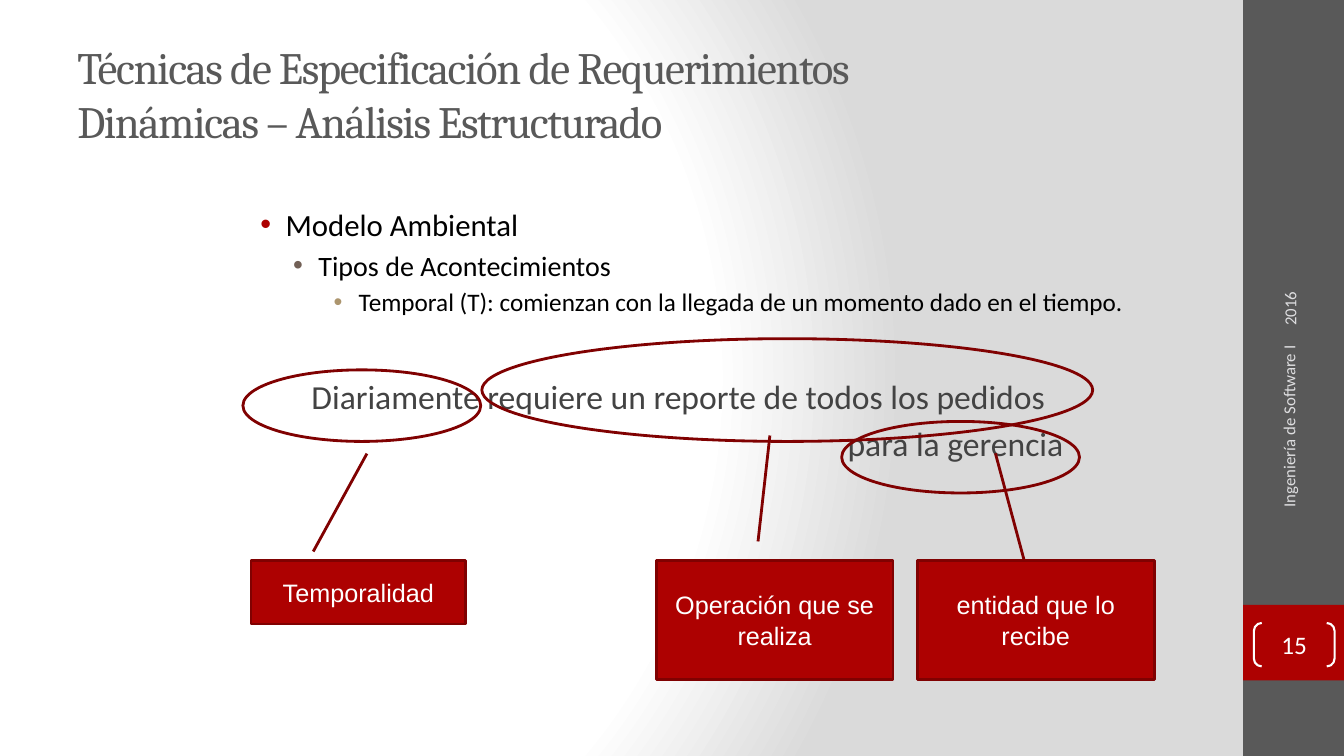
from dataclasses import dataclass

from pptx import Presentation
from pptx.dml.color import RGBColor
from pptx.enum.shapes import MSO_SHAPE
from pptx.enum.text import MSO_ANCHOR, MSO_AUTO_SIZE, PP_ALIGN
from pptx.oxml import parse_xml
from pptx.oxml.ns import nsdecls, qn
from pptx.util import Pt

RECT = MSO_SHAPE.RECTANGLE
OVAL = MSO_SHAPE.OVAL
CALLOUT = MSO_SHAPE.LINE_CALLOUT_1
BRACKET = MSO_SHAPE.DOUBLE_BRACKET
TOP, MIDDLE = MSO_ANCHOR.TOP, MSO_ANCHOR.MIDDLE
NO_FIT = MSO_AUTO_SIZE.NONE
LEFT, CENTER, RIGHT = PP_ALIGN.LEFT, PP_ALIGN.CENTER, PP_ALIGN.RIGHT


@dataclass(frozen=True)
class Theme:
    gray: str = "595959"
    red: str = "AD0101"
    dark: str = "800101"
    white: str = "FFFFFF"
    black: str = "000000"
    ink: str = "434343"
    pale: str = "DEDEE0"
    shade: str = "DADADA"
    dots: tuple = ("AD0101", "726056", "AC956E")
    levels: tuple = (22, 20, 18)
    title: int = 32
    quote: int = 24
    label: int = 18
    side: int = 12
    head: str = "Cambria"
    body: str = "Calibri"
    tag: str = "Arial"


class Deck:
    def __init__(self, theme):
        self.theme = theme
        self.show = Presentation()
        self.show.slide_width, self.show.slide_height = Pt(960), Pt(540)
        self.slide = self.show.slides.add_slide(self.show.slide_layouts[5])

    def backdrop(self, stops, focus):
        """Radial background; focus holds left, top, right and bottom in percent."""
        self.slide.background.fill.gradient()
        grad = self.slide.element.find(".//" + qn("a:gradFill"))
        for child in list(grad):
            grad.remove(child)
        marks = "".join(
            f'<a:gs pos="{pos * 1000}"><a:srgbClr val="{color}"/></a:gs>'
            for pos, color in stops)
        rect = " ".join(f'{side}="{part * 1000}"' for side, part in zip("ltrb", focus))
        grad.append(parse_xml(f'<a:gsLst {nsdecls("a")}>{marks}</a:gsLst>'))
        grad.append(parse_xml(f'<a:path {nsdecls("a")} path="circle">'
                              f'<a:fillToRect {rect}/></a:path>'))

    def frame(self, shape, anchor, inset=None):
        frame = shape.text_frame
        values = {"word_wrap": True, "auto_size": NO_FIT, "vertical_anchor": anchor}
        if inset is not None:
            for side in ("left", "top", "right", "bottom"):
                values["margin_" + side] = Pt(inset)
        for name, value in values.items():
            setattr(frame, name, value)
        return frame

    def fill_in(self, para, text, size, color, font=None, align=LEFT, before=0):
        para.text = text
        para.alignment = align
        para.space_before = Pt(before)
        for run in para.runs:
            values = {"size": Pt(size), "name": font or self.theme.body, "bold": False}
            for name, value in values.items():
                setattr(run.font, name, value)
            run.font.color.rgb = RGBColor.from_string(color)

    def title(self, box, text):
        shape = self.slide.shapes.title
        for name, value in zip(("left", "top", "width", "height"), box):
            setattr(shape, name, Pt(value))
        para = self.frame(shape, MIDDLE).paragraphs[0]
        self.fill_in(para, text, self.theme.title, self.theme.gray, self.theme.head)
        for run in para.runs:
            run._r.get_or_add_rPr().set("spc", "-100")

    def shape(self, kind, box, fill=None, line=None, width=2, adjust=()):
        shape = self.slide.shapes.add_shape(kind, *map(Pt, box))
        shape.shadow.inherit = False
        for part, color in ((shape.fill, fill), (shape.line.fill, line)):
            if color:
                part.solid()
                part.fore_color.rgb = RGBColor.from_string(color)
            else:
                part.background()
        if line:
            shape.line.width = Pt(width)
        for index, value in enumerate(adjust):
            shape.adjustments[index] = value
        return shape

    def callout(self, box, text, adjust):
        look = self.theme
        shape = self.shape(CALLOUT, box, look.red, look.dark, adjust=adjust)
        para = self.frame(shape, MIDDLE).paragraphs[0]
        self.fill_in(para, text, look.label, look.white, look.tag, CENTER)

    def ring(self, box):
        self.shape(OVAL, box, line=self.theme.dark)

    def text(self, box, anchor=TOP, turn=0):
        shape = self.slide.shapes.add_textbox(*map(Pt, box))
        shape.rotation = turn
        return self.frame(shape, anchor)

    def outline(self, box, items, indents):
        """One bulleted paragraph per item, each a level deeper."""
        frame, look = self.text(box), self.theme
        for level, (item, indent) in enumerate(zip(items, indents)):
            para = frame.add_paragraph() if level else frame.paragraphs[0]
            para.level = level
            size = look.levels[level]
            self.fill_in(para, item, size, look.black, before=size * 0.2)
            props = para._p.get_or_add_pPr()
            props.set("marL", str(Pt(indent)))
            props.set("indent", str(Pt(-18)))
            for tag in (f'<a:buClr {nsdecls("a")}><a:srgbClr val="{look.dots[level]}"/></a:buClr>',
                        f'<a:buFont {nsdecls("a")} typeface="Arial"/>',
                        f'<a:buChar {nsdecls("a")} char="•"/>'):
                props.append(parse_xml(tag))

    def quote(self, box, lines):
        """Centred lines, each with its own left margin."""
        frame, look = self.text(box), self.theme
        for index, (line, margin) in enumerate(lines):
            para = frame.add_paragraph() if index else frame.paragraphs[0]
            self.fill_in(para, line, look.quote, look.ink, align=CENTER,
                         before=look.quote * 0.2)
            para._p.get_or_add_pPr().set("marL", str(Pt(margin)))

    def side(self, box, text, align):
        para = self.text(box, MIDDLE, 270).paragraphs[0]
        self.fill_in(para, text, self.theme.side, self.theme.pale, align=align)

    def number(self, box, text):
        look = self.theme
        shape = self.shape(BRACKET, box, line=look.white, width=1.5, adjust=(0.18,))
        para = self.frame(shape, MIDDLE, 0).paragraphs[0]
        self.fill_in(para, text, look.label, look.white, align=CENTER)


def main():
    look = Theme()
    deck = Deck(look)
    deck.backdrop(((0, look.white), (75, look.white), (100, look.shade)),
                  (20, 50, 100, 50))
    deck.shape(RECT, (888, 0, 72, 540), look.gray)
    deck.shape(RECT, (888, 432, 72, 54), look.red)
    deck.title((48, 21.6, 800, 90), "Técnicas de Especificación de Requerimientos\v"
                                    "Dinámicas – Análisis Estructurado")
    deck.outline((170, 143.3, 642, 354), (
        "Modelo Ambiental",
        "Tipos de Acontecimientos",
        "Temporal (T): comienzan con la llegada de un momento dado en el tiempo.",
    ), (27, 50.4, 79.2))
    deck.number((895.7, 445, 57.6, 31), "15")

    row = 400.3
    deck.callout((179.3, row, 153.4, 45.4), "Temporalidad", (-0.14, 0.29, -1.68, 0.54))
    deck.callout((468.7, row, 169.2, 85), "Operación que se realiza",
                 (-0.16, 0.43, -1.05, 0.48))
    deck.quote((157, 265, 655, 72), (
        ("Diariamente requiere un reporte de todos los pedidos", 0),
        ("para la gerencia", 396),
    ))
    deck.ring((344.2, 241.9, 436.3, 73.4))
    deck.ring((173.5, 264.2, 169.9, 51.1))
    deck.callout((655.2, row, 169.2, 85), "entidad que lo recibe",
                 (-0.01, 0.45, -0.9, 0.33))
    deck.ring((601.2, 301, 169.9, 51.1))

    deck.side((825.1, 124.6, 192.2, 38.2), "2016", LEFT)
    deck.side((827.3, 313.9, 186.5, 38.2), "Ingeniería de Software I", RIGHT)
    deck.show.save("out.pptx")


if __name__ == "__main__":
    main()
